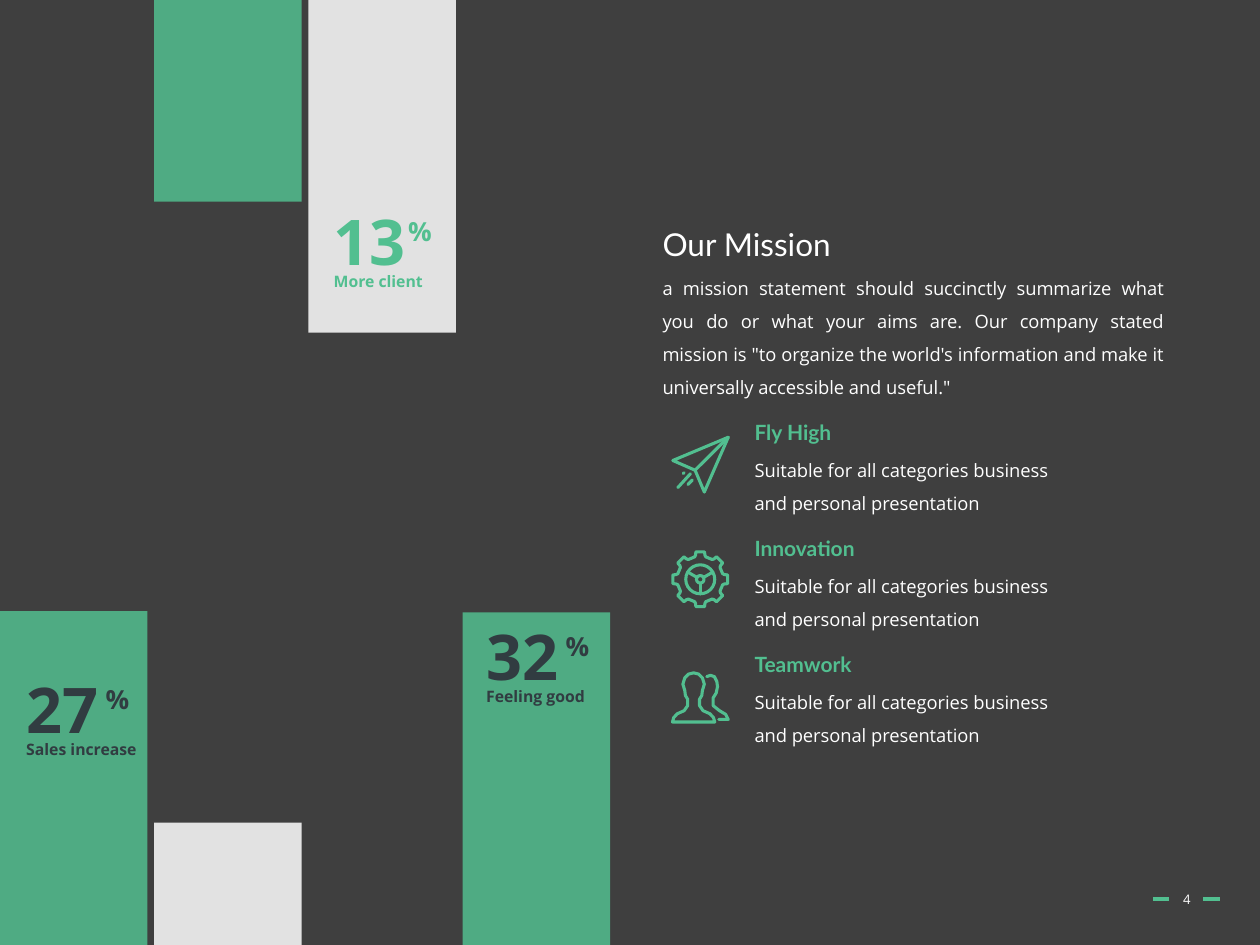
import math
from dataclasses import dataclass

import pptx
import pptx.util
import pptx.dml.color
import pptx.enum.shapes
import pptx.enum.text
import pptx.oxml
import pptx.oxml.ns
from lxml import etree

ALIGN = pptx.enum.text.PP_ALIGN
SHAPE = pptx.enum.shapes.MSO_SHAPE


@dataclass(frozen=True)
class Theme:
    back: str = "3F3F3F"
    green: str = "52BF90"
    white: str = "FFFFFF"
    ink: str = "313C41"
    head: str = "Lato"
    body: str = "Open Sans"
    title: float = 18
    figure: float = 36
    percent: float = 15
    label: float = 12
    text: float = 10.5
    caption: float = 9
    page: float = 7.5
    stroke: float = 1.75


class Deck:
    """Slide on a grid of 100 columns by 75 rows."""

    COLS, ROWS = 100, 75

    def __init__(self, theme):
        self.t = theme
        self.prs = pptx.Presentation()
        self.prs.slide_width = pptx.util.Inches(10)
        self.prs.slide_height = pptx.util.Inches(7.5)
        self.s = self.prs.slides.add_slide(self.prs.slide_layouts[6])
        self.s.background.fill.solid()
        self.s.background.fill.fore_color.rgb = self.rgb(theme.back)

    def rgb(self, color):
        return pptx.dml.color.RGBColor.from_string(color)

    def pos(self, x, y):
        return (round(self.prs.slide_width * x / self.COLS),
                round(self.prs.slide_height * y / self.ROWS))

    def bar(self, x, y, w, h, color, opacity=85):
        sp = self.s.shapes.add_shape(SHAPE.RECTANGLE, *self.pos(x, y), *self.pos(w, h))
        sp.shadow.inherit = False
        sp.fill.solid()
        sp.fill.fore_color.rgb = self.rgb(color)
        sp.line.fill.background()
        clr = sp._element.spPr.find(".//" + pptx.oxml.ns.qn("a:srgbClr"))
        etree.SubElement(clr, pptx.oxml.ns.qn("a:alpha"), val=str(opacity * 1000))

    def text(self, x, y, w, h, text, size, color, font=None, bold=False,
             align=None, spacing=None, wrap=True, middle=False):
        sp = self.s.shapes.add_textbox(*self.pos(x, y), *self.pos(w, h))
        tf = sp.text_frame
        tf.word_wrap = wrap
        if middle:
            tf.vertical_anchor = pptx.enum.text.MSO_ANCHOR.MIDDLE
        p = tf.paragraphs[0]
        p.text = text
        p.alignment = align
        p.line_spacing = spacing
        p.font.name = font or self.t.body
        p.font.size = pptx.util.Pt(size)
        p.font.bold = bold
        p.font.color.rgb = self.rgb(color)

    def pen(self, sp):
        sp.line.color.rgb = self.rgb(self.t.green)
        sp.line.width = pptx.util.Pt(self.t.stroke)

    def line(self, x1, y1, x2, y2):
        sp = self.s.shapes.add_connector(pptx.enum.shapes.MSO_CONNECTOR.STRAIGHT,
                                         *self.pos(x1, y1), *self.pos(x2, y2))
        self.pen(sp)
        etree.SubElement(sp._element.spPr, pptx.oxml.ns.qn("a:effectLst"))

    def stroke(self, points, close=False):
        pts = [self.pos(x, y) for x, y in points]
        fb = self.s.shapes.build_freeform(*pts[0], scale=1.0)
        fb.add_line_segments(pts[1:], close=close)
        sp = fb.convert_to_shape()
        sp.shadow.inherit = False
        sp.fill.background()
        self.pen(sp)
        ln = sp.line._get_or_add_ln()
        ln.set("cap", "rnd")
        etree.SubElement(ln, pptx.oxml.ns.qn("a:round"))

    def ring(self, cx, cy, r):
        sp = self.s.shapes.add_shape(SHAPE.OVAL, *self.pos(cx - r, cy - r),
                                     *self.pos(2 * r, 2 * r))
        sp.shadow.inherit = False
        sp.fill.background()
        self.pen(sp)


def polar(cx, cy, r, deg):
    a = math.radians(deg)
    return cx + r * math.cos(a), cy + r * math.sin(a)


def plane(d, x, y):
    tip, fold = (4.5, 0.1), (1.87, 2.72)
    strokes = [([(0.1, 1.95), tip, (2.6, 4.45), fold], True), ([fold, tip], False),
               ([(0.5, 4.1), (1.5, 3)], False), ([(1.3, 3.85), (1.65, 3.5)], False),
               ([(0.93, 2.98), (1, 2.92)], False)]
    for pts, close in strokes:
        d.stroke([(x + px, y + py) for px, py in pts], close)


def gear(d, x, y):
    cx, cy = x + 2.28, y + 2.28
    tooth = [(-14, 1.83), (-11, 1.95), (-9, 2.2), (9, 2.2), (11, 1.95), (14, 1.83)]
    d.stroke([polar(cx, cy, r, 45 * i + a) for i in range(8) for a, r in tooth], True)
    for r in (1.15, 0.3):
        d.ring(cx, cy, r)
    for a in (90, 210, 330):
        d.stroke([polar(cx, cy, 0.3, a), polar(cx, cy, 1.15, a)])


def people(d, x, y):
    half = [(0.4, 0.2), (0.7, 0.5), (0.85, 1), (0.7, 1.5), (0.65, 1.9), (0.47, 2.2),
            (0.47, 2.7), (0.75, 3.1), (1.3, 3.35), (1.58, 3.65), (1.68, 4)]
    front = [(0, 0.1)] + half + [(-px, py) for px, py in reversed(half)]
    back = [(2.8, 0.4), (3.1, 0.3), (3.4, 0.4), (3.6, 0.8), (3.65, 1.2), (3.55, 1.7),
            (3.3, 2.1), (3.3, 2.7), (3.8, 3.1), (4.3, 3.4), (4.5, 3.8), (3.75, 3.8)]
    d.stroke([(x + 1.75 + px, y + py) for px, py in front], True)
    d.stroke([(x + px, y + py) for px, py in back])


def main():
    t = Theme()
    d = Deck(t)

    # Page number between two dashes
    for x in (91.5, 95.5):
        d.line(x, 71.35, x + 1.3, 71.35)
    d.text(92, 69.4, 4.4, 4, "4", t.page, t.white, align=ALIGN.CENTER, middle=True)

    # Bars: column, top, height
    for col, y, h, color in [(0, 48.5, 26.5, t.green), (1, 65.3, 9.7, t.white),
                             (1, 0, 16, t.green), (2, 0, 26.4, t.white),
                             (3, 48.6, 26.4, t.green)]:
        d.bar(12.24 * col, y, 11.7, h, color)

    # Figures on the bars
    for x, y, number, caption, color, gap in [
            (1.1, 52.7, "27", "Sales increase", t.ink, 6.3),
            (25.5, 15.6, "13", "More client", t.green, 5.9),
            (37.6, 48.5, "32", "Feeling good", t.ink, 6.3)]:
        d.text(x, y, 7.8, 7.1, number, t.figure, color, bold=True, wrap=False)
        d.text(x, y + 5.5, 10.8, 2.5, caption, t.caption, color, bold=True)
        d.text(x + gap, y + 1, 3.9, 3.5, "%", t.percent, color, bold=True, wrap=False)

    # Mission statement
    d.text(51.6, 17.4, 32.5, 4, "Our Mission", t.title, t.white, t.head)
    d.text(51.6, 20.6, 41.8, 12.5,
           "a mission statement should succinctly summarize what you do or what your "
           "aims are. Our company stated mission is \"to organize the world's "
           "information and make it universally accessible and useful.\"",
           t.text, t.white, align=ALIGN.JUSTIFY, spacing=1.5)

    # Values with icons
    for i, (label, icon, top) in enumerate([("Fly High", plane, 34.6),
                                            ("Innovation", gear, 43.7),
                                            ("Teamwork", people, 53.3)]):
        y = 32.8 + 9.2 * i
        d.text(58.9, y, 10, 3, label, t.label, t.green, t.head, bold=True, wrap=False)
        d.text(58.9, y + 2.3, 26.1, 6.3,
               "Suitable for all categories business and personal presentation",
               t.text, t.white, spacing=1.5)
        icon(d, 53.3, top)

    d.prs.save("out.pptx")


if __name__ == "__main__":
    main()
